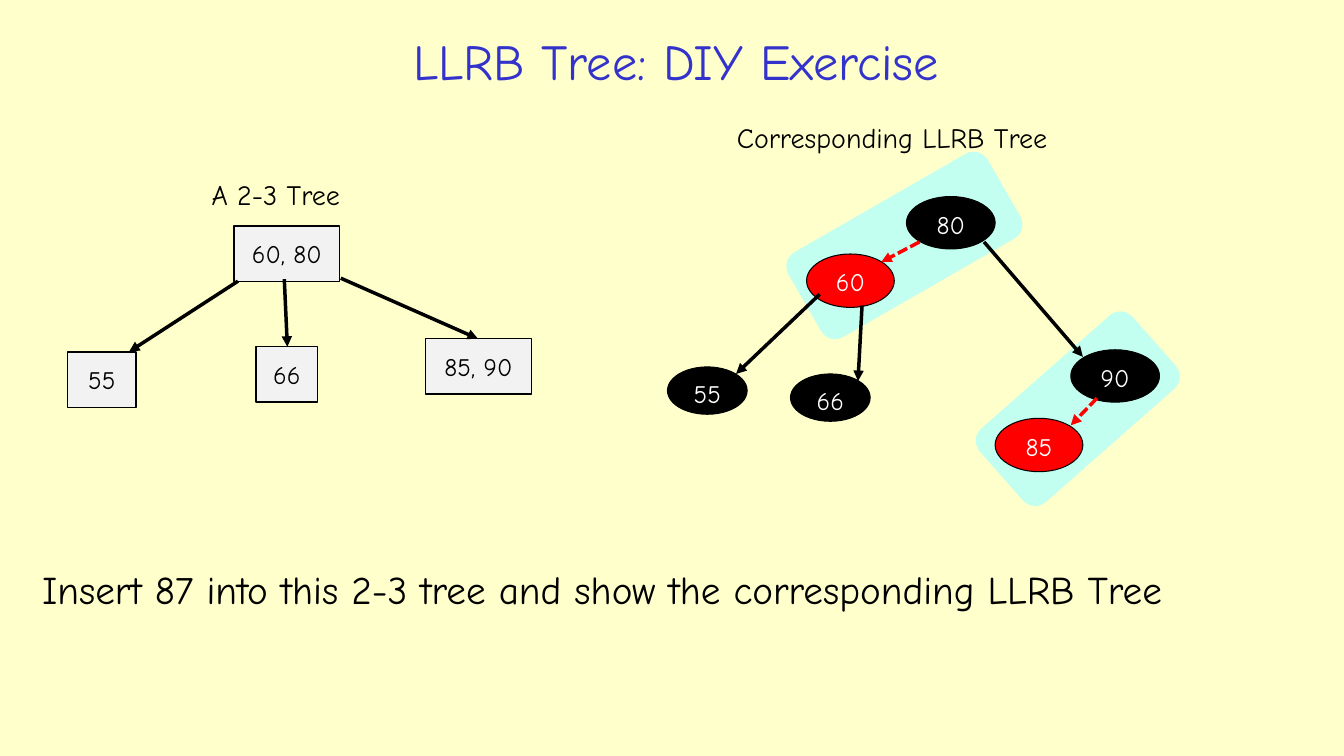
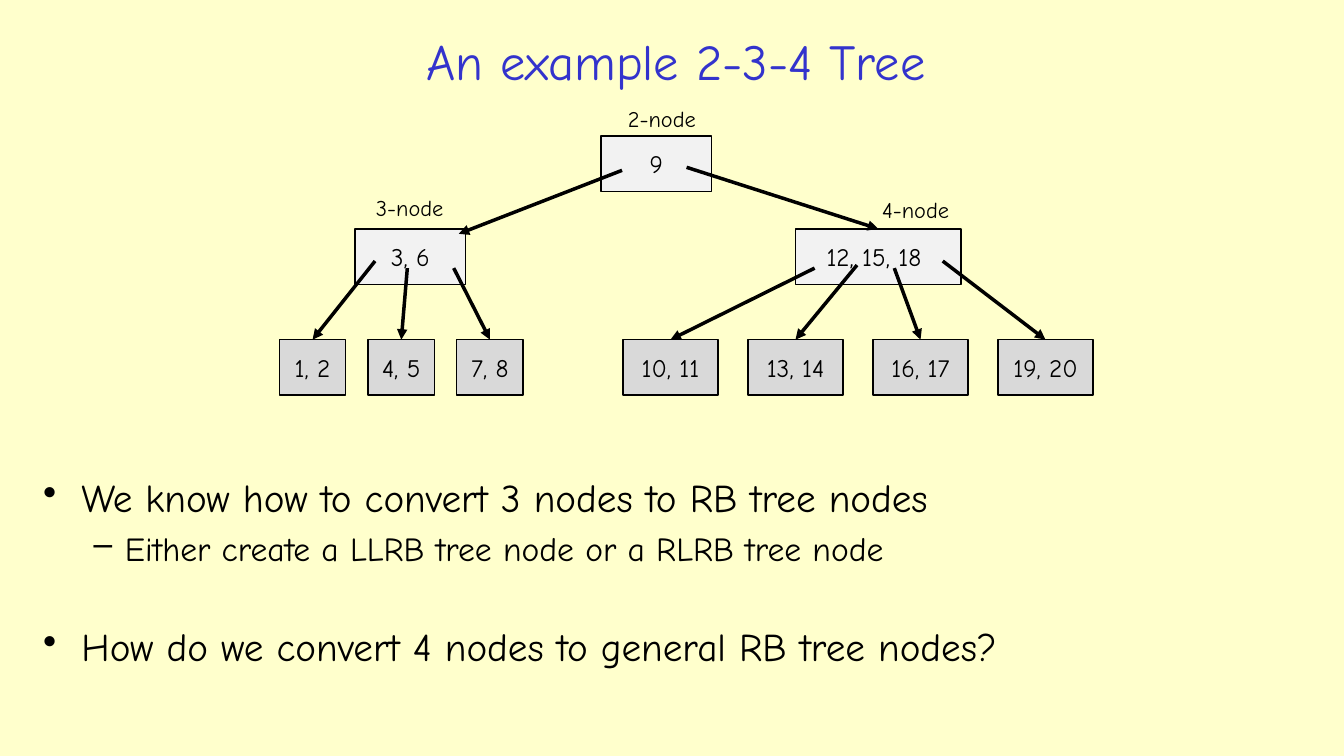
from pptx import Presentation
from pptx.dml.color import RGBColor
from pptx.enum.dml import MSO_LINE_DASH_STYLE as Dash
from pptx.enum.shapes import MSO_CONNECTOR as Connector, MSO_SHAPE as Shape
from pptx.enum.text import MSO_ANCHOR as Anchor, PP_ALIGN as Align
from pptx.oxml.ns import qn
from pptx.util import Inches, Pt
from lxml.etree import SubElement

CREAM = RGBColor(0xFF, 0xFF, 0xCC)
TITLE_BLUE = RGBColor(0x33, 0x33, 0xCC)
MINT = RGBColor(0xC2, 0xFF, 0xF0)
BLACK = RGBColor(0, 0, 0)
WHITE = RGBColor(0xFF, 0xFF, 0xFF)
RED = RGBColor(0xFF, 0, 0)
PALE_GRAY = RGBColor(0xF2, 0xF2, 0xF2)
LEAF_GRAY = RGBColor(0xD9, 0xD9, 0xD9)


class TreeDeck:
    FONT = "Comic Neue"
    BOX_HEIGHT = 0.55
    # Per level: bullet, left margin, hanging indent, text size
    LEVELS = [("•", 0.38, 0.38, 28), ("–", 0.81, 0.31, 24)]

    def __init__(self):
        self.prs = Presentation()
        self.prs.slide_width, self.prs.slide_height = Inches(13.33), Inches(7.5)
        background = self.prs.slide_master.background.fill
        background.solid()
        background.fore_color.rgb = CREAM
        self.slide = None

    def new_slide(self, title=None):
        self.slide = self.prs.slides.add_slide(self.prs.slide_layouts[6])

    def style(self, paragraph, size, color=BLACK, align=None):
        paragraph.alignment = align
        font = paragraph.font
        font.name, font.size = self.FONT, Pt(size)
        font.color.rgb = color

    def text_frame(self, left, top, width, height):
        box = self.slide.shapes.add_textbox(
            Inches(left), Inches(top), Inches(width), Inches(height))
        box.text_frame.word_wrap = True
        return box.text_frame

    def title(self, text):
        frame = self.text_frame(0.44, 0.18, 12.53, 0.84)
        frame.vertical_anchor = Anchor.MIDDLE
        frame.text = text
        self.style(frame.paragraphs[0], 36, TITLE_BLUE, Align.CENTER)

    def label(self, text, left, top, width, height, size):
        frame = self.text_frame(left, top, width, height)
        frame.text = text
        self.style(frame.paragraphs[0], size)

    def bullets(self, items, left, top, width, height):
        """Each item is (level, text, points before)."""
        frame = self.text_frame(left, top, width, height)
        for i, (level, text, before) in enumerate(items):
            paragraph = frame.add_paragraph() if i else frame.paragraphs[0]
            paragraph.text = text
            paragraph.level = level
            paragraph.space_before = Pt(before)
            mark, margin, hanging, size = self.LEVELS[level]
            props = paragraph._p.get_or_add_pPr()
            props.set("marL", str(Inches(margin)))
            props.set("indent", str(-Inches(hanging)))
            SubElement(props, qn("a:buChar")).set("char", mark)
            self.style(paragraph, size)

    def solid(self, kind, left, top, width, height, fill):
        shape = self.slide.shapes.add_shape(
            kind, Inches(left), Inches(top), Inches(width), Inches(height))
        shape.shadow.inherit = False
        shape.fill.solid()
        shape.fill.fore_color.rgb = fill
        return shape

    def group_band(self, left, top, width, height, rotation):
        band = self.solid(Shape.ROUNDED_RECTANGLE, left, top, width, height, MINT)
        band.line.fill.background()
        band.rotation = rotation

    def node(self, shape, text, color, line_width, anchor):
        shape.line.color.rgb = BLACK
        shape.line.width = Pt(line_width)
        shape.text_frame.text = text
        shape.text_frame.vertical_anchor = anchor
        self.style(shape.text_frame.paragraphs[0], 18, color, Align.CENTER)

    def key_box(self, keys, left, top, width, fill=PALE_GRAY):
        box = self.solid(Shape.RECTANGLE, left, top, width, self.BOX_HEIGHT, fill)
        self.node(box, keys, BLACK, 1, Anchor.MIDDLE)

    def key_oval(self, key, left, top, width, height, fill=BLACK):
        oval = self.solid(Shape.OVAL, left, top, width, height, fill)
        self.node(oval, key, WHITE, 0.75, Anchor.TOP)

    def edge(self, start, end, red=False):
        arrow = self.slide.shapes.add_connector(
            Connector.STRAIGHT, *(Inches(v) for v in (*start, *end)))
        arrow.line.color.rgb = RED if red else BLACK
        arrow.line.width = Pt(2.5)
        if red:
            arrow.line.dash_style = Dash.SQUARE_DOT
        props = arrow._element.spPr
        SubElement(props.find(qn("a:ln")), qn("a:tailEnd")).set("type", "triangle")
        SubElement(props, qn("a:effectLst"))

    def leaf_row(self, leaves, left, top, width, pitch):
        """Each leaf is (keys, start of the edge from its parent)."""
        for i, (keys, start) in enumerate(leaves):
            x = left + i * pitch
            self.key_box(keys, x, top, width, LEAF_GRAY)
            self.edge(start, (x + width / 2, top))


def build_exercise(deck):
    deck.new_slide()

    # Bands joining each red node to its parent
    deck.group_band(9.68, 3.57, 2.02, 0.97, 318.6)
    deck.group_band(7.83, 1.95, 2.28, 0.97, 330.1)

    deck.title("LLRB Tree: DIY Exercise")
    deck.label("Insert 87 into this 2-3 tree and show the corresponding LLRB Tree",
               0.32, 5.56, 12.57, 0.57, 28)

    # 2-3 tree
    deck.label("A 2-3 Tree", 2, 1.71, 1.67, 0.44, 20)
    for keys, left, top, width in [("60, 80", 2.32, 2.24, 1.05),
                                   ("55", 0.67, 3.49, 0.68),
                                   ("66", 2.54, 3.44, 0.61),
                                   ("85, 90", 4.22, 3.36, 1.05)]:
        deck.key_box(keys, left, top, width)
    for start, end in [((2.36, 2.79), (1.28, 3.49)),
                       ((2.82, 2.77), (2.85, 3.44)),
                       ((3.38, 2.76), (4.74, 3.36))]:
        deck.edge(start, end)

    # LLRB tree
    deck.label("Corresponding LLRB Tree", 7.21, 1.15, 3.53, 0.44, 20)
    for key, left, top in [("80", 8.99, 1.95), ("90", 10.62, 3.47)]:
        deck.key_oval(key, left, top, 0.88, 0.52)
    for key, left, top in [("60", 8, 2.52), ("85", 9.87, 4.15)]:
        deck.key_oval(key, left, top, 0.87, 0.53, RED)
    for key, left, top in [("55", 6.62, 3.64), ("66", 7.84, 3.71)]:
        deck.key_oval(key, left, top, 0.79, 0.47)
    for start, end, red in [((9.76, 2.4), (10.74, 3.54), False),
                            ((8.13, 2.92), (7.3, 3.71), False),
                            ((8.55, 3.03), (8.51, 3.78), False),
                            ((9.12, 2.4), (8.74, 2.6), True),
                            ((10.88, 3.95), (10.62, 4.22), True)]:
        deck.edge(start, end, red)


def build_example(deck):
    deck.new_slide()
    deck.title("An example 2-3-4 Tree")

    # Inner nodes with their kinds
    for keys, left, top, width in [("9", 5.96, 1.35, 1.1),
                                   ("3, 6", 3.52, 2.27, 1.1),
                                   ("12, 15, 18 ", 7.89, 2.27, 1.64)]:
        deck.key_box(keys, left, top, width)
    for kind, left, top in [("2-node", 6.13, 0.99),
                            ("3-node", 3.63, 1.88),
                            ("4-node", 8.65, 1.9)]:
        deck.label(kind, left, top, 0.92, 0.37, 16)
    deck.edge((6.17, 1.69), (4.55, 2.32))
    deck.edge((6.81, 1.66), (8.71, 2.27))

    # Leaves
    deck.leaf_row([("1, 2", (3.72, 2.59)), ("4, 5", (4.04, 2.66)),
                   ("7, 8", (4.5, 2.66))], 2.77, 3.37, 0.66, 0.88)
    deck.leaf_row([("10, 11", (8.08, 2.66)), ("13, 14", (8.5, 2.63)),
                   ("16, 17", (8.87, 2.66)), ("19, 20", (9.35, 2.59))],
                  6.18, 3.37, 0.94, 1.24)

    # Discussion
    deck.bullets([(0, "We know how to convert 3 nodes to RB tree nodes", 0),
                  (1, "Either create a LLRB tree node or a RLRB tree node", 5),
                  (0, "How do we convert 4 nodes to general RB tree nodes?", 39)],
                 0.33, 4.65, 12.64, 2.21)


def main():
    deck = TreeDeck()
    build_exercise(deck)
    build_example(deck)
    deck.prs.save("out.pptx")


if __name__ == "__main__":
    main()
